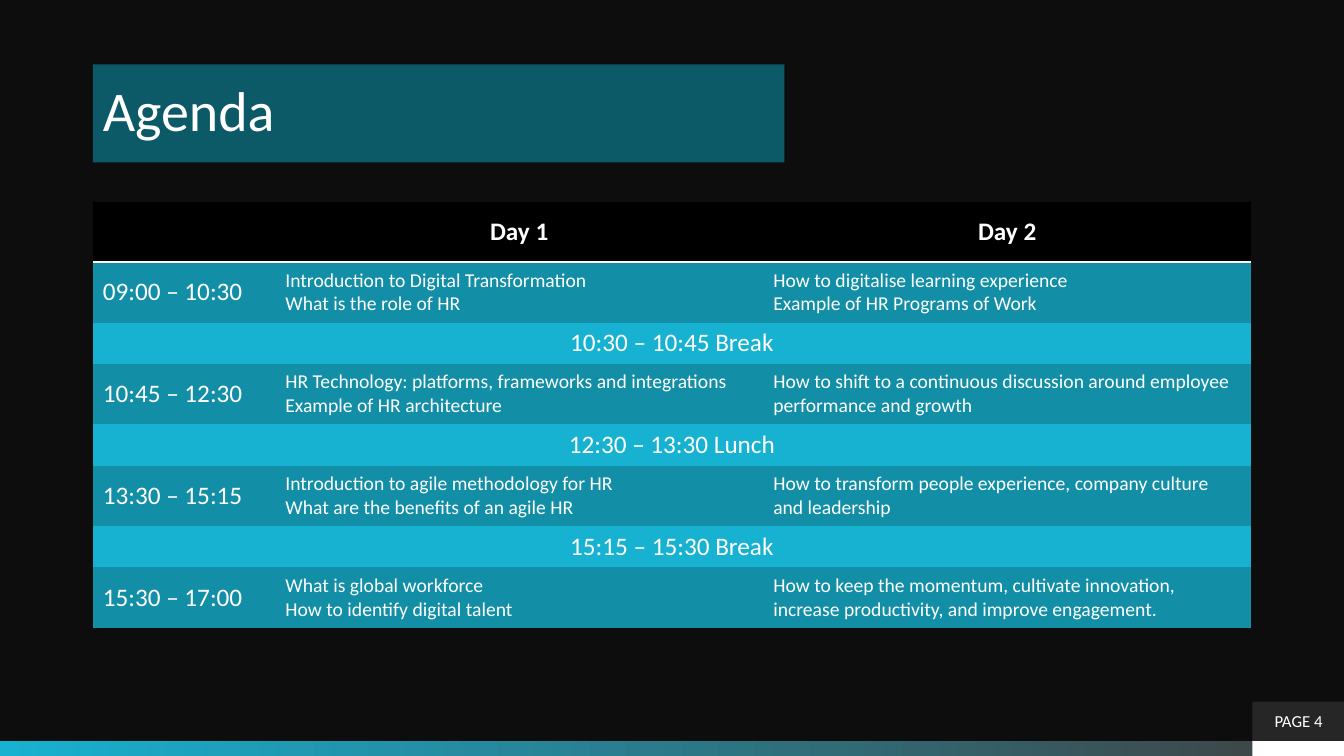
"""Build the two-day agenda slide with its timetable."""
from typing import NamedTuple

from lxml import etree
from pptx import Presentation
from pptx.dml import color
from pptx.enum import shapes, text
from pptx.oxml import ns
from pptx.util import Inches, Pt

FONT = "Calibri"
WHITE, BLACK, CYAN, TEAL = "FFFFFF", "000000", "17B2D1", "128FA7"
NO_GRID_STYLE = "{2D5ABB26-0587-4C30-8999-92F81FD0307C}"
LEFT, CENTER = text.PP_ALIGN.LEFT, text.PP_ALIGN.CENTER


class Bar(NamedTuple):
    left: float
    top: float
    width: float
    height: float
    fill: str
    label: str = ""


class Session(NamedTuple):
    time: str
    day1: str
    day2: str


class Pause(NamedTuple):
    label: str


BARS = [
    Bar(0, 7.35, 13.33, 0.15, CYAN),
    Bar(12.42, 7.35, 0.92, 0.15, WHITE),
    Bar(12.42, 6.96, 0.92, 0.39, "262626", "PAGE 4"),
]
AGENDA = [
    Session("09:00 – 10:30",
            "Introduction to Digital Transformation\nWhat is the role of HR",
            "How to digitalise learning experience\nExample of HR Programs of Work"),
    Pause("10:30 – 10:45 Break"),
    Session("10:45 – 12:30",
            "HR Technology: platforms, frameworks and integrations\nExample of HR architecture",
            "How to shift to a continuous discussion around employee performance and growth"),
    Pause("12:30 – 13:30 Lunch"),
    Session("13:30 – 15:15",
            "Introduction to agile methodology for HR\nWhat are the benefits of an agile HR",
            "How to transform people experience, company culture and leadership"),
    Pause("15:15 – 15:30 Break"),
    Session("15:30 – 17:00",
            "What is global workforce\nHow to identify digital talent",
            "How to keep the momentum, cultivate innovation, "
            "increase productivity, and improve engagement."),
]


def rgb(value: str) -> color.RGBColor:
    return color.RGBColor.from_string(value)


def paint(fill, value: str) -> None:
    fill.solid()
    fill.fore_color.rgb = rgb(value)


def write(tf, content: str, size: float, align=LEFT, bold: bool = False) -> None:
    tf.text = content
    for p in tf.paragraphs:
        p.alignment = align
        for r in p.runs:
            for name, value in {"name": FONT, "size": Pt(size), "bold": bold}.items():
                setattr(r.font, name, value)
            r.font.color.rgb = rgb(WHITE)


def add_bar(slide, bar: Bar):
    box = map(Inches, bar[:4])
    sp = slide.shapes.add_shape(shapes.MSO_SHAPE.RECTANGLE, *box)
    sp.shadow.inherit = False
    sp.line.fill.background()
    paint(sp.fill, bar.fill)
    if bar.label:
        sp.text_frame.vertical_anchor = text.MSO_ANCHOR.MIDDLE
        write(sp.text_frame, bar.label, 12, CENTER)
    return sp


def add_title(slide, content: str) -> None:
    sp = slide.shapes.title
    box = {"left": 0.92, "top": 0.67, "width": 6.86, "height": 0.91}
    for name, value in box.items():
        setattr(sp, name, Inches(value))
    paint(sp.fill, "0C5968")
    tf = sp.text_frame
    write(tf, content, 40)
    frame = {
        "margin_left": Inches(0.1), "margin_right": Inches(0.1),
        "margin_top": Inches(0.12), "margin_bottom": Inches(0.12),
        "vertical_anchor": text.MSO_ANCHOR.MIDDLE, "word_wrap": True,
        "auto_size": text.MSO_AUTO_SIZE.SHAPE_TO_FIT_TEXT,
    }
    for name, value in frame.items():
        setattr(tf, name, value)
    tf.paragraphs[0].line_spacing = 0.9


def underline(cell, value: str, width: float) -> None:
    ln = etree.Element(ns.qn("a:lnB"), w=str(Pt(width)))
    fill = etree.SubElement(ln, ns.qn("a:solidFill"))
    etree.SubElement(fill, ns.qn("a:srgbClr"), val=value)
    cell._tc.get_or_add_tcPr().insert(0, ln)


def fill_cell(cell, fill: str, content: str, size: float, align=LEFT, bold: bool = False) -> None:
    paint(cell.fill, fill)
    cell.vertical_anchor = text.MSO_ANCHOR.MIDDLE
    write(cell.text_frame, content, size, align, bold)


def add_agenda(slide) -> None:
    heights = [0.6] + [0.6 if isinstance(item, Session) else 0.41 for item in AGENDA]
    frame = slide.shapes.add_table(len(heights), 3, Inches(0.92), Inches(2),
                                   Inches(11.49), Inches(sum(heights)))
    table = frame.table
    table.horz_banding = False
    table._tbl.tblPr.find(ns.qn("a:tableStyleId")).text = NO_GRID_STYLE
    for column, width in zip(table.columns, (1.81, 4.84, 4.84)):
        column.width = Inches(width)
    for row, height in zip(table.rows, heights):
        row.height = Inches(height)
    for cell, heading in zip(table.rows[0].cells, ("", "Day 1", "Day 2")):
        fill_cell(cell, BLACK, heading, 18, CENTER, True)
        underline(cell, WHITE, 2)
    for i, item in enumerate(AGENDA, 1):
        if isinstance(item, Pause):
            table.cell(i, 0).merge(table.cell(i, 2))
            fill_cell(table.cell(i, 0), CYAN, item.label, 18, CENTER)
        else:
            for cell, content, size in zip(table.rows[i].cells, item, (18, 14, 14)):
                fill_cell(cell, TEAL, content, size)


def main() -> None:
    prs = Presentation()
    prs.slide_width, prs.slide_height = Inches(13.33), Inches(7.5)
    slide = prs.slides.add_slide(prs.slide_layouts[5])
    paint(slide.background.fill, "0D0D0D")
    add_title(slide, "Agenda")
    strip, *_ = [add_bar(slide, bar) for bar in BARS]
    strip.fill.gradient()
    strip.fill.gradient_angle = 0
    for stop, value, position in zip(strip.fill.gradient_stops, (CYAN, "404040"), (0, 1)):
        stop.color.rgb = rgb(value)
        stop.position = position
    add_agenda(slide)
    prs.save("out.pptx")


if __name__ == "__main__":
    main()
